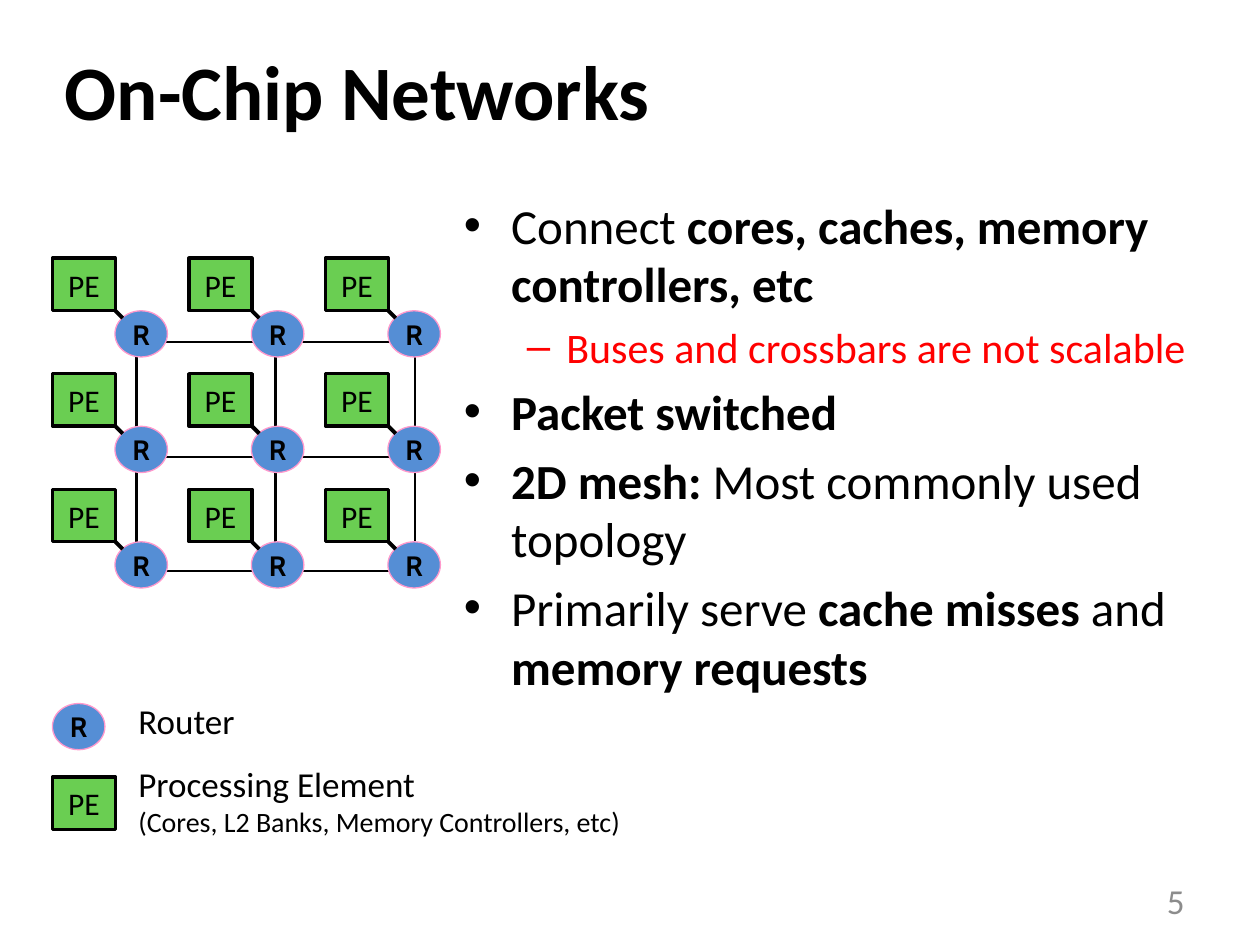
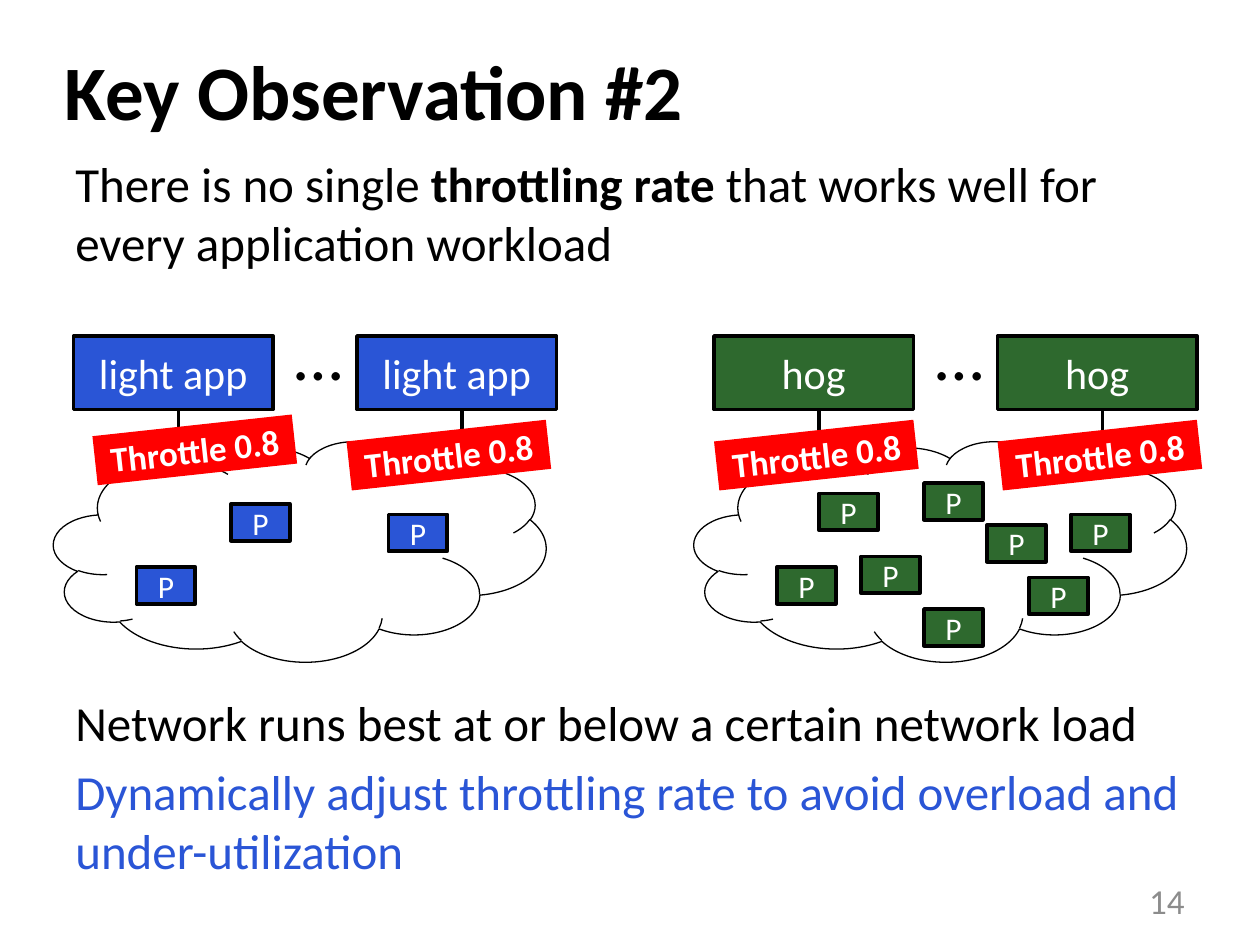
from dataclasses import dataclass
from itertools import product
from typing import NamedTuple

from lxml.etree import SubElement
from pptx import Presentation
from pptx.dml.color import RGBColor
from pptx.enum.shapes import MSO_CONNECTOR, MSO_SHAPE
from pptx.enum.text import MSO_ANCHOR as ANCHOR, PP_ALIGN as ALIGN
from pptx.oxml import parse_xml
from pptx.oxml.ns import nsdecls, qn
from pptx.util import Emu, Pt

COLS, ROWS = 120, 90
UNIT = 76200
FONT, ROUTER_FONT = "Calibri", "Cabin"
BLACK, WHITE, GREY, RED = "000000", "FFFFFF", "8C8C8C", "FF0000"
BLUE, GREEN = "2A55D6", "2E692E"
PE_GREEN, ROUTER_BLUE, PINK = "6ACE52", "558ED5", "FF99CC"


class Box(NamedTuple):
    col: float
    row: float
    cols: float
    rows: float


class Run(NamedTuple):
    text: str
    bold: bool = False


@dataclass(frozen=True)
class Para:
    runs: tuple[Run, ...]
    size: float = 28
    color: str = BLACK
    before: float = 0
    bullet: str = ""
    margin: float = 0
    hang: float = 0
    align: ALIGN = ALIGN.LEFT


@dataclass(frozen=True)
class Style:
    fill: str
    line: str = BLACK
    width: float = 2
    size: float = 18
    color: str = WHITE
    bold: bool = False
    font: str = FONT
    preset: MSO_SHAPE = MSO_SHAPE.RECTANGLE
    turn: float = 0


@dataclass(frozen=True)
class Cluster:
    col: float
    app: str
    color: str
    packets: tuple[tuple[float, float], ...]
    tags: tuple[tuple[float, float], ...]


PE = Style(PE_GREEN, color=BLACK)
ROUTER = Style(ROUTER_BLUE, PINK, 0.75, 16, BLACK, True, ROUTER_FONT, MSO_SHAPE.OVAL)
CLOUD = Style(WHITE, width=0.75, preset=MSO_SHAPE.CLOUD)
TAG = Style(RED, line="", size=20, bold=True, turn=353.8)


def grid(n: float) -> Emu:
    return Emu(round(n * UNIT))


def place(box: Box) -> list[Emu]:
    return [grid(n) for n in box]


def rgb(color: str) -> RGBColor:
    return RGBColor.from_string(color)


def format_run(r, size: float, color: str, bold: bool, font: str = FONT) -> None:
    r.font.name, r.font.size, r.font.bold = font, Pt(size), bold
    r.font.color.rgb = rgb(color)


def add_text(s, box: Box, paras: list[Para], anchor=ANCHOR.TOP, wrap: bool = True) -> None:
    tf = s.shapes.add_textbox(*place(box)).text_frame
    tf.word_wrap, tf.vertical_anchor = wrap, anchor
    for i, para in enumerate(paras):
        p = tf.add_paragraph() if i else tf.paragraphs[0]
        p.alignment, p.space_before = para.align, Pt(para.before)
        for run in para.runs:
            r = p.add_run()
            r.text = run.text
            format_run(r, para.size, para.color, run.bold)
        if para.bullet:
            pPr = p._p.get_or_add_pPr()
            pPr.set("marL", str(grid(para.margin)))
            pPr.set("indent", str(grid(-para.hang)))
            SubElement(pPr, qn("a:buFont")).set("typeface", "Arial")
            SubElement(pPr, qn("a:buChar")).set("char", para.bullet)


def add_block(s, box: Box, style: Style, text: str = "") -> None:
    sp = s.shapes.add_shape(style.preset, *place(box))
    sp.shadow.inherit = False
    sp.rotation = style.turn
    sp.fill.solid()
    sp.fill.fore_color.rgb = rgb(style.fill)
    if style.line:
        sp.line.color.rgb = rgb(style.line)
        sp.line.width = Pt(style.width)
    else:
        sp.line.fill.background()
    if text:
        tf = sp.text_frame
        tf.text = text
        tf.word_wrap, tf.vertical_anchor = False, ANCHOR.MIDDLE
        tf.margin_left = tf.margin_right = tf.margin_top = tf.margin_bottom = 0
        p = tf.paragraphs[0]
        p.alignment = ALIGN.CENTER
        format_run(p.runs[0], style.size, style.color, style.bold, style.font)


def add_line(s, x1: float, y1: float, x2: float, y2: float, width: float) -> None:
    ln = s.shapes.add_connector(MSO_CONNECTOR.STRAIGHT, *(grid(n) for n in (x1, y1, x2, y2)))
    ln.line.color.rgb = rgb(BLACK)
    ln.line.width = Pt(width)
    SubElement(ln._element.spPr, qn("a:effectLst"))


def add_mesh_links(s, box: Box) -> None:
    table = s.shapes.add_table(2, 2, *place(box)).table
    table.first_row = table.horz_banding = False
    for cell in table.iter_cells():
        cell.fill.background()
        tcPr = cell._tc.get_or_add_tcPr()
        for i, side in enumerate("LRTB"):
            tcPr.insert(i, parse_xml(
                f'<a:ln{side} {nsdecls("a")} w="{Pt(1.5)}"><a:solidFill>'
                f'<a:srgbClr val="{BLACK}"/></a:solidFill></a:ln{side}>'))


def add_router(s, col: float, row: float) -> None:
    add_block(s, Box(col, row, 5, 4.4), ROUTER, "R")


def add_pe(s, col: float, row: float) -> None:
    add_block(s, Box(col, row, 6, 5), PE, "PE")


def add_node(s, col: float, row: float) -> None:
    add_router(s, col + 5.95, row + 5)
    add_pe(s, col, row)
    add_line(s, col + 6, row + 5, col + 6.7, row + 5.7, 2.25)


def add_cluster(s, c: Cluster) -> None:
    app = Style(c.color, size=24)
    packet = Style(c.color, width=2.25)
    for col in (c.col + 7, c.col + 34):
        add_block(s, Box(col, 32, 19, 7), app, c.app)
        add_line(s, col + 10, 39, col + 10, 49, 2)
    add_text(s, Box(c.col + 26.9, 29, 7.1, 9.2), [Para((Run("…"),), 40)], wrap=False)
    add_block(s, Box(c.col + 5.1, 42, 46.9, 21), CLOUD)
    for col, row in c.packets:
        add_block(s, Box(c.col + col, row, 5.6, 3.5), packet, "P")
    for col, row in c.tags:
        add_block(s, Box(c.col + col, row, 19.1, 4.7), TAG, "Throttle 0.8")


def add_slide(prs, title: str, number: int):
    s = prs.slides.add_slide(prs.slide_layouts[6])
    add_text(s, Box(5, 1, 108, 15), [Para((Run(title, True),), 44)], ANCHOR.MIDDLE)
    add_text(s, Box(86, 83.4, 28, 4.8),
             [Para((Run(str(number)),), 20, GREY, align=ALIGN.RIGHT)], ANCHOR.MIDDLE)
    return s


def bullet(*runs: Run) -> Para:
    return Para(runs, before=5.6, bullet="•", margin=4.5, hang=4.5)


def sub_bullet(*runs: Run) -> Para:
    return Para(runs, 24, RED, 4.8, "–", 9.75, 3.75)


def build_networks(prs) -> None:
    s = add_slide(prs, "On-Chip Networks", 5)
    add_mesh_links(s, Box(13, 32.6, 26.5, 21.8))
    for row, col in product(range(3), range(3)):
        add_node(s, 5 + 13 * col, 24.6 + 11 * row)
    add_router(s, 5, 67)
    add_text(s, Box(12, 66, 11.6, 5.3), [Para((Run("Router"),), 20)], wrap=False)
    add_pe(s, 5, 74)
    add_text(s, Box(12, 72, 48.8, 8.5), [
        Para((Run("Processing Element"),), 20),
        Para((Run("(Cores, L2 Banks, Memory Controllers, etc)"),), 16),
    ], wrap=False)
    add_text(s, Box(43, 18, 75, 53), [
        bullet(Run("Connect "), Run("cores, caches, memory controllers, etc", True)),
        sub_bullet(Run("Buses and crossbars are not scalable")),
        bullet(Run("Packet switched", True)),
        bullet(Run("2D mesh: ", True), Run("Most commonly used topology")),
        bullet(Run("Primarily serve "), Run("cache misses ", True), Run("and"),
               Run(" memory requests", True)),
    ])


def build_observation(prs) -> None:
    s = add_slide(prs, "Key Observation #2", 14)
    add_text(s, Box(6, 14, 108, 69), [
        Para((Run("There is no single "), Run("throttling rate", True),
              Run(" that works well for every application workload")), before=5.6),
        Para((Run("Network runs best at or below a certain network load"),), before=241),
        Para((Run("Dynamically adjust throttling rate to avoid overload and "
                  "under-utilization"),), color=BLUE, before=5.6),
    ])
    clusters = (
        Cluster(0, "light app", BLUE, ((22, 48), (37, 49), (13, 54)),
                ((9, 40.5), (33.2, 41))),
        Cluster(61, "hog", GREEN,
                ((33, 50), (17, 47), (21, 53), (27, 58), (13, 54), (37, 55), (41, 49),
                 (27, 46)),
                ((7.2, 41), (34.2, 41))),
    )
    for cluster in clusters:
        add_cluster(s, cluster)


prs = Presentation()
prs.slide_width, prs.slide_height = grid(COLS), grid(ROWS)
build_networks(prs)
build_observation(prs)
prs.save("out.pptx")
